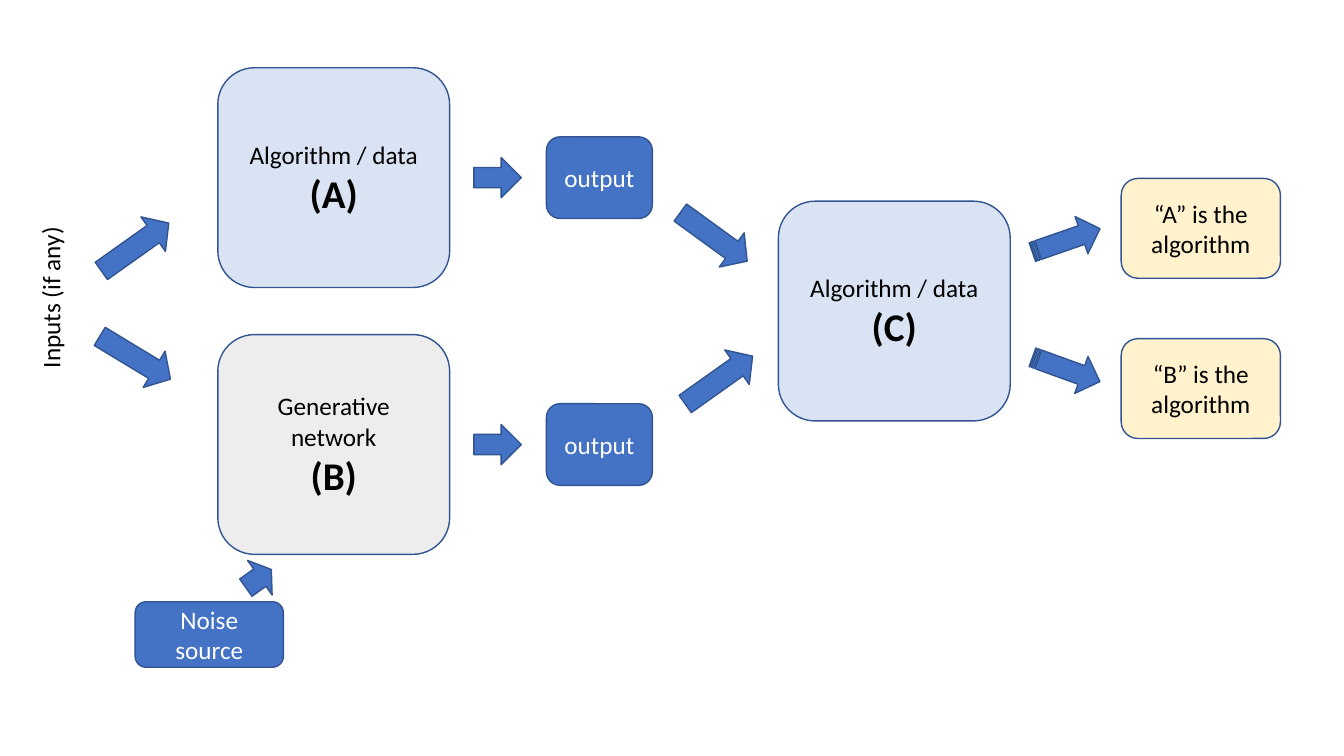
from pptx import Presentation
from pptx.dml.color import RGBColor
from pptx.enum.shapes import MSO_SHAPE
from pptx.enum.text import MSO_ANCHOR, MSO_AUTO_SIZE, PP_ALIGN
from pptx.util import Inches, Pt

# The slide is a grid of 100 columns by 100 rows; places are centres on it.
SLIDE_WIDTH, SLIDE_HEIGHT = Inches(13.33), Inches(7.5)

BLUE, OUTLINE = "4472C4", "325491"
PALE_BLUE, GREY, CREAM = "DAE3F3", "EDEDED", "FFF2CC"
BLACK, WHITE = "000000", "FFFFFF"

MODEL_SIZE = (17.25, 29.07)
OUTPUT_SIZE = (7.88, 10.8)
VERDICT_SIZE = (11.85, 13.2)
NOISE_SIZE = (11.03, 8.67)
LABEL_SIZE = (12.15, 5.33)
LONG_ARROW = (6.15, 5.6)
SHORT_ARROW = (3.53, 5.33)
NOISE_ARROW = (2.33, 5.6)
STRIPED_ARROW = (5.33, 5.2)

A_ROW, B_ROW = 23.5, 58.8
C_ROW = (A_ROW + B_ROW) / 2
MODEL_COLUMN, OUTPUT_COLUMN, C_COLUMN, VERDICT_COLUMN = 24.83, 44.6, 66.54, 89.35
RISE = 324.6


def color(hex_code):
    """Turn a hex string into a colour."""
    return RGBColor.from_string(hex_code)


def frame(center, size):
    """Give left, top, width and height for a centre and size on the grid."""
    (column, row), (columns, rows) = center, size
    shares = ((column - columns / 2, SLIDE_WIDTH), (row - rows / 2, SLIDE_HEIGHT),
              (columns, SLIDE_WIDTH), (rows, SLIDE_HEIGHT))
    return [round(share * length / 100) for share, length in shares]


def add_run(paragraph, words, ink, points=18, bold=False):
    """Append one run of text to a paragraph."""
    run = paragraph.add_run()
    run.text = words
    run.font.name = "Calibri"
    run.font.size = Pt(points)
    run.font.bold = bold
    run.font.color.rgb = color(ink)


def add_block(slide, kind, center, size, fill):
    """Draw an outlined, filled preset shape."""
    block = slide.shapes.add_shape(kind, *frame(center, size))
    block.shadow.inherit = False
    block.fill.solid()
    block.fill.fore_color.rgb = color(fill)
    block.line.color.rgb = color(OUTLINE)
    block.line.width = Pt(1)
    return block


def add_box(slide, center, size, fill, ink, caption, letter=None):
    """Draw a rounded box with a caption and, below it, a large letter."""
    box = add_block(slide, MSO_SHAPE.ROUNDED_RECTANGLE, center, size, fill)
    text = box.text_frame
    text.word_wrap = True
    text.vertical_anchor = MSO_ANCHOR.MIDDLE
    text.paragraphs[0].alignment = PP_ALIGN.CENTER
    add_run(text.paragraphs[0], caption, ink)
    if letter:
        letter_line = text.add_paragraph()
        letter_line.alignment = PP_ALIGN.CENTER
        add_run(letter_line, letter, ink, 28, True)


def add_arrow(slide, center, size, angle=0, head=0.5, kind=MSO_SHAPE.RIGHT_ARROW):
    """Draw a block arrow turned clockwise by an angle."""
    arrow = add_block(slide, kind, center, size, BLUE)
    arrow.adjustments[1] = head
    arrow.rotation = angle


def add_side_label(slide, center, words):
    """Write a label that reads upwards."""
    label = slide.shapes.add_textbox(*frame(center, LABEL_SIZE))
    label.rotation = 270
    label.text_frame.word_wrap = False
    label.text_frame.auto_size = MSO_AUTO_SIZE.SHAPE_TO_FIT_TEXT
    add_run(label.text_frame.paragraphs[0], words, BLACK)


def main():
    """Build the diagram and save it."""
    deck = Presentation()
    deck.slide_width, deck.slide_height = SLIDE_WIDTH, SLIDE_HEIGHT
    slide = deck.slides.add_slide(deck.slide_layouts[6])

    add_side_label(slide, (3.75, 39.2), "Inputs (if any)")
    models = (
        (MODEL_COLUMN, A_ROW, PALE_BLUE, "Algorithm / data", "(A)"),
        (MODEL_COLUMN, B_ROW, GREY, "Generative network", "(B)"),
        (C_COLUMN, C_ROW, PALE_BLUE, "Algorithm / data", "(C)"),
    )
    for column, row, fill, caption, letter in models:
        add_box(slide, (column, row), MODEL_SIZE, fill, BLACK, caption, letter)

    for row in (A_ROW, B_ROW):
        add_arrow(slide, (37.02, row), SHORT_ARROW)
        add_box(slide, (OUTPUT_COLUMN, row), OUTPUT_SIZE, BLUE, WHITE, "output")

    long_arrows = (
        (10.05, 32.67, RISE), (10.05, 47.33, 31.2),
        (53.11, 31.33, 36), (53.49, 50.27, RISE),
    )
    for column, row, angle in long_arrows:
        add_arrow(slide, (column, row), LONG_ARROW, angle, 0.45)

    verdicts = (("A", 30.2, 31.8, 340.9), ("B", 51.4, 48.87, 19.9))
    for letter, row, arrow_row, angle in verdicts:
        add_arrow(slide, (79.33, arrow_row), STRIPED_ARROW, angle,
                  kind=MSO_SHAPE.STRIPED_RIGHT_ARROW)
        add_box(slide, (VERDICT_COLUMN, row), VERDICT_SIZE, CREAM, BLACK,
                f"“{letter}” is the algorithm")

    add_box(slide, (15.57, 83.93), NOISE_SIZE, BLUE, WHITE, "Noise source")
    add_arrow(slide, (19.24, 76.53), NOISE_ARROW, RISE, 0.45)

    deck.save("out.pptx")


main()
